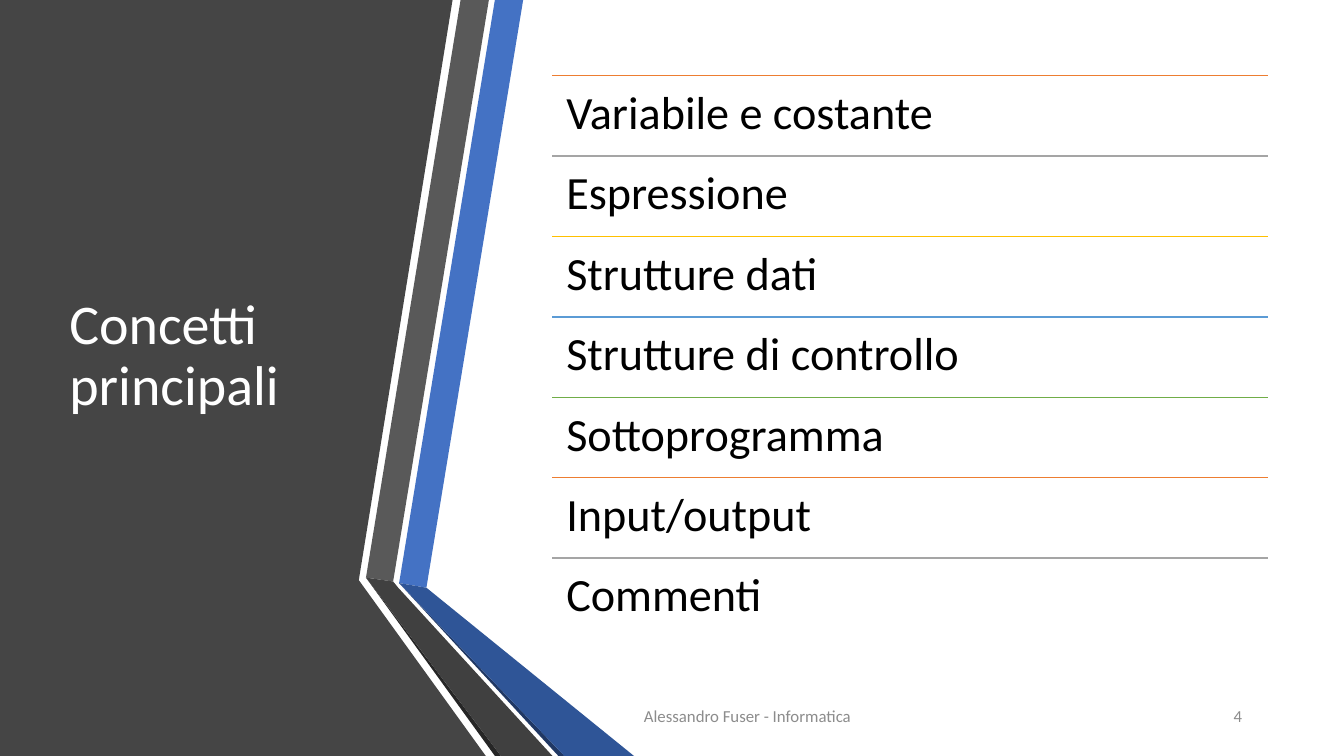
from dataclasses import dataclass

from pptx import Presentation
from pptx.dml.color import RGBColor
from pptx.enum.shapes import MSO_CONNECTOR as Connector
from pptx.enum.text import MSO_ANCHOR as Anchor, PP_ALIGN as Align
from pptx.oxml.ns import qn
from pptx.util import Pt
from lxml.etree import SubElement


@dataclass(frozen=True)
class Theme:
    font: str = "Calibri"
    panel: str = "454545"
    blue: str = "4472C4"
    blue_fold: str = "2F5597"
    blue_edge: str = "203864"
    grey: str = "595959"
    grey_fold: str = "404040"
    grey_edge: str = "262626"
    title: str = "FFFFFF"
    body: str = "000000"
    footer: str = "8C8C8C"
    rules: tuple = ("ED7D31", "A5A5A5", "FFC000", "5B9BD5", "70AD47")
    title_size: int = 40
    body_size: int = 33
    footer_size: int = 12


def write_text(frame, text, *, font, size, color, align=Align.LEFT, spacing=1.0):
    paragraph = frame.paragraphs[0]
    paragraph.alignment = align
    paragraph.line_spacing = spacing
    run = paragraph.add_run()
    run.text = text
    run.font.name = font
    run.font.size = Pt(size)
    run.font.color.rgb = RGBColor.from_string(color)


class Deck:
    def __init__(self, theme, width, height):
        self.theme = theme
        self.presentation = Presentation()
        self.presentation.slide_width = Pt(width)
        self.presentation.slide_height = Pt(height)
        self.slide = self.presentation.slides.add_slide(self.presentation.slide_layouts[6])

    def polygon(self, color, points):
        start, *rest = [(Pt(x), Pt(y)) for x, y in points]
        builder = self.slide.shapes.build_freeform(*start)
        builder.add_line_segments(rest, close=True)
        band = builder.convert_to_shape()
        band.shadow.inherit = False
        band.fill.solid()
        band.fill.fore_color.rgb = RGBColor.from_string(color)
        band.line.fill.background()

    def rule(self, left, top, width, color):
        rule = self.slide.shapes.add_connector(
            Connector.STRAIGHT, Pt(left), Pt(top), Pt(left + width), Pt(top))
        rule.line.color.rgb = RGBColor.from_string(color)
        rule.line.width = Pt(1)
        SubElement(rule._element.spPr, qn("a:effectLst"))

    def text(self, text, left, top, width, height, *, anchor=Anchor.MIDDLE, inset=None, **style):
        box = self.slide.shapes.add_textbox(Pt(left), Pt(top), Pt(width), Pt(height))
        frame = box.text_frame
        frame.word_wrap = True
        frame.vertical_anchor = anchor
        if inset is not None:
            frame.margin_left = frame.margin_right = Pt(inset)
            frame.margin_top = frame.margin_bottom = Pt(inset)
        write_text(frame, text, font=self.theme.font, **style)

    def save(self):
        self.presentation.save("out.pptx")


def main():
    theme = Theme()
    width, height = 960, 540
    deck = Deck(theme, width, height)

    grey_bend, grey_inner = (261.4, 412.6), (280.8, 415.4)
    blue_bend, blue_inner = (285.1, 416.5), (304.6, 419.8)
    grey_foot, blue_foot = (357.8, height), (403.2, height)
    bands = [
        (theme.panel, [(0, 0), (323.3, 0), (256.3, 414.4), (347, height), (0, height)]),
        (theme.blue, [blue_bend, blue_inner, (373.7, 0), (353.5, 0)]),
        (theme.grey, [(349.2, 0), (329, 0), grey_bend, grey_inner]),
        (theme.grey_edge, [grey_bend, (353.5, height), grey_foot]),
        (theme.blue_edge, [blue_bend, (398.9, height), blue_foot]),
        (theme.blue_fold, [blue_bend, blue_foot, (452.9, height), blue_inner]),
        (theme.grey_fold, [(394.6, height), (284.4, 419.8), grey_inner, grey_bend, grey_foot]),
    ]
    for color, points in bands:
        deck.polygon(color, points)

    deck.text("Concetti principali", 42.5, 54, 218.9, 401.8,
              size=theme.title_size, color=theme.title, spacing=0.9)

    footer_style = dict(size=theme.footer_size, color=theme.footer)
    deck.text("Alessandro Fuser - Informatica", 452.9, 496.8, 306.7, 28.8, **footer_style)
    deck.text("4", 808.6, 496.8, 85.7, 28.8, align=Align.RIGHT, **footer_style)

    concepts = ["Variabile e costante", "Espressione", "Strutture dati",
                "Strutture di controllo", "Sottoprogramma", "Input/output", "Commenti"]
    list_left, list_top, list_width, row_height = 394.6, 54, 511.2, 57.45
    for row, concept in enumerate(concepts):
        row_top = list_top + row * row_height
        deck.rule(list_left, row_top, list_width, theme.rules[row % len(theme.rules)])
        deck.text(concept, list_left, row_top, list_width, row_height, anchor=Anchor.TOP,
                  inset=9.9, size=theme.body_size, color=theme.body, spacing=0.9)

    deck.save()


if __name__ == "__main__":
    main()
